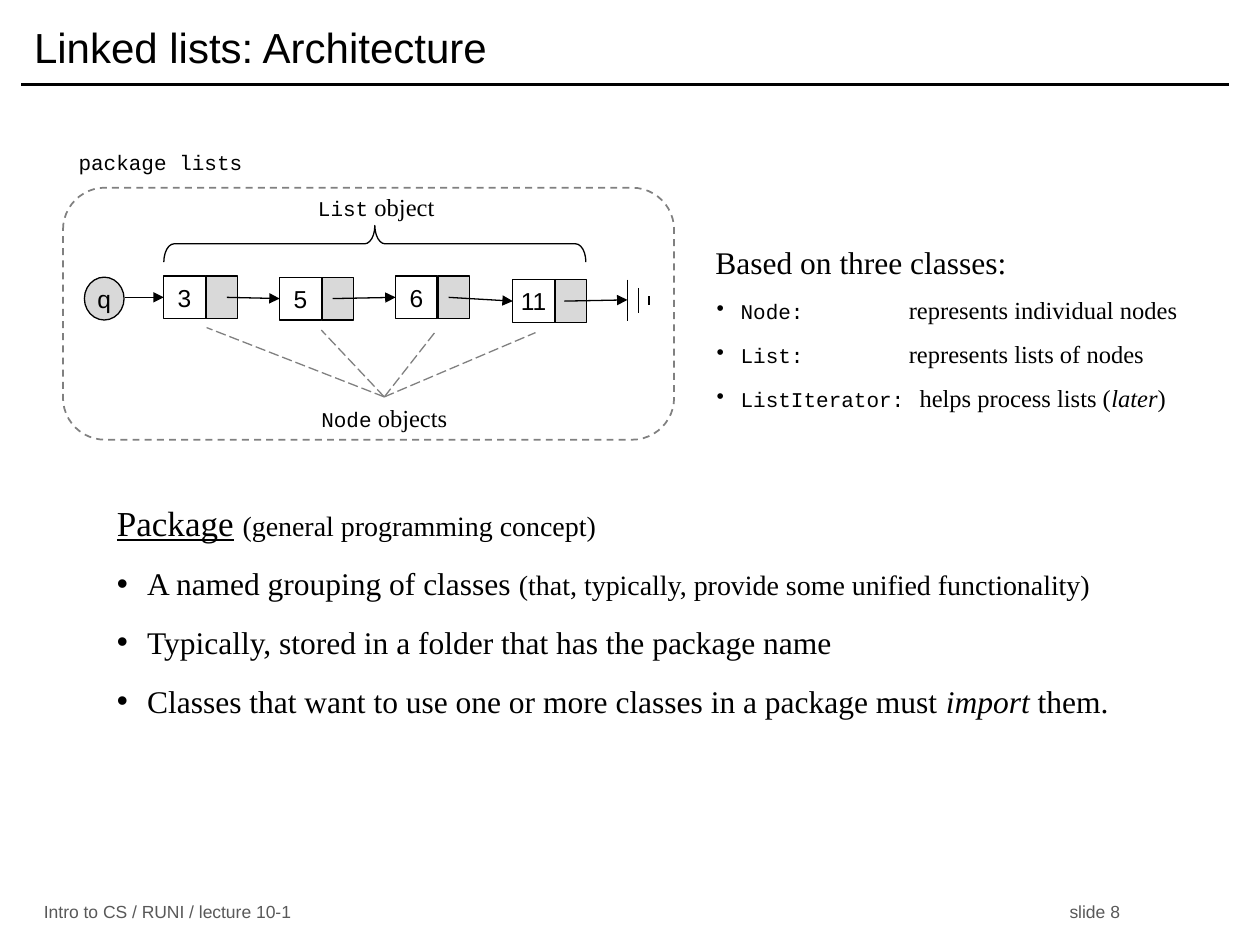
from pptx import Presentation
from pptx import util as u
from pptx.dml.color import RGBColor
from pptx.enum import dml, shapes, text
from pptx.oxml import ns
from lxml import etree

BLACK = RGBColor(0, 0, 0)
WHITE = RGBColor(0xFF, 0xFF, 0xFF)
LIGHT = RGBColor(0xD9, 0xD9, 0xD9)
GRAY = RGBColor(0x80, 0x80, 0x80)
DARK = RGBColor(0x59, 0x59, 0x59)
SANS, SERIF, MONO = "Arial", "Times New Roman", "Courier New"
COLUMNS, ROWS = 100, 75
CELL = u.Inches(0.1)


def cells(*counts):
    """Turn numbers of grid cells into lengths."""
    return [u.Emu(round(count * CELL)) for count in counts]


def add_child(parent, tag, **attributes):
    """Append a DrawingML element and return it."""
    child = etree.SubElement(parent, ns.qn(tag))
    for name, value in attributes.items():
        child.set(name, str(value))
    return child


def write(shape, *paragraphs, align=text.PP_ALIGN.LEFT, anchor=text.MSO_ANCHOR.MIDDLE,
          color=BLACK, inset=1, wrap=True):
    """Fill a shape with paragraphs, each a list of (text, font, size, style) runs."""
    frame = shape.text_frame
    frame.word_wrap = wrap
    frame.vertical_anchor = anchor
    frame.margin_left, frame.margin_right, frame.margin_top, frame.margin_bottom = cells(
        inset, inset, inset / 2, inset / 2)
    for index, runs in enumerate(paragraphs):
        para = frame.paragraphs[0] if index == 0 else frame.add_paragraph()
        para.alignment = align
        for words, font, size, *style in runs:
            span = para.add_run()
            span.text = words
            span.font.name = font
            span.font.size = u.Pt(size)
            span.font.color.rgb = color
            span.font.italic = "italic" in style
            span.font.underline = "underline" in style
    return frame


def bullet(para, hang, before, indent=None, stop=None):
    """Give a paragraph a hanging bullet, space before and an optional tab stop."""
    margin, first = cells(hang, -(indent or hang))
    props = para._p.get_or_add_pPr()
    props.set("marL", str(margin))
    props.set("indent", str(first))
    add_child(props, "a:buFont", typeface=SANS)
    add_child(props, "a:buChar", char="•")
    if stop:
        add_child(add_child(props, "a:tabLst"), "a:tab", pos=cells(stop)[0], algn="l")
    para.space_before = u.Pt(before)


def add_label(page, left, top, width, height, *paragraphs, **style):
    """Place a text box."""
    box = page.shapes.add_textbox(*cells(left, top, width, height))
    write(box, *paragraphs, **style)
    return box


def add_outline(page, kind, left, top, width, height, fill=None, line=BLACK, weight=0.75):
    """Place a preset shape with a plain outline."""
    shape = page.shapes.add_shape(kind, *cells(left, top, width, height))
    shape.shadow.inherit = False
    if fill is None:
        shape.fill.background()
    else:
        shape.fill.solid()
        shape.fill.fore_color.rgb = fill
    shape.line.color.rgb = line
    shape.line.width = u.Pt(weight)
    return shape


def add_line(page, start, end, color=BLACK, weight=0.75, dash=None, arrow=False):
    """Draw a straight connector between two points."""
    line = page.shapes.add_connector(shapes.MSO_CONNECTOR.STRAIGHT, *cells(*start, *end))
    line.line.color.rgb = color
    line.line.width = u.Pt(weight)
    if dash:
        line.line.dash_style = dash
    props = line._element.spPr
    if arrow:
        add_child(props.find(ns.qn("a:ln")), "a:tailEnd", type="triangle")
    add_child(props, "a:effectLst")
    return line


def add_header(page, left, top, width, height):
    """Format the title and draw the rule below it."""
    title = page.shapes.title
    title.left, title.top, title.width, title.height = cells(left, top, width, height)
    write(title, [("Linked lists: Architecture", SANS, 24)])
    rule = top + height + 0.1
    add_line(page, (left, rule), (left + width, rule), weight=2)


def add_footer(page, left, top, width, height):
    """Write the course name and the slide number."""
    for offset, words in ((0, "Intro to CS / RUNI / lecture 10-1"), (81.4, "slide 8")):
        add_label(page, left + offset, top, width - offset, height,
                  [(words, SANS, 10)], color=DARK, wrap=False)


def add_node(page, left, top, value):
    """Draw a value cell with its pointer cell and return the value cell."""
    rect = shapes.MSO_SHAPE.RECTANGLE
    cell = add_outline(page, rect, left, top, 3.3, 3.4, WHITE)
    write(cell, [(value, SANS, 14)], align=text.PP_ALIGN.CENTER, inset=0)
    add_outline(page, rect, left + 3.35, top, 2.5, 3.4, LIGHT)
    return cell


def add_chain(page, left, top):
    """Draw the head, four linked nodes and the closing ground mark."""
    head = add_outline(page, shapes.MSO_SHAPE.OVAL, left, top + 0.1, 3.15, 3.4, LIGHT)
    write(head, [("q", SANS, 14)], align=text.PP_ALIGN.CENTER, inset=0)
    start = (left + 3.2, top + 1.7)
    nodes = (("3", 6.3, 0, 5), ("5", 15.5, 0.1, 4.2), ("6", 24.7, 0, 4.2), ("11", 34, 0.3, 4.1))
    for value, offset, drop, pointer in nodes:
        cell = add_node(page, left + offset, top + drop, value)
        add_line(page, start, start, arrow=True).end_connect(cell, 1)
        x, y = left + offset, top + drop + 1.7
        start = (x + pointer, y)
        yield_end = (left + 43.1, top + 1.9)
    add_line(page, start, yield_end, arrow=True)
    for step, half in enumerate((1.65, 1, 0.35)):
        x = left + 43.1 + step * 0.85
        add_line(page, (x, top + 1.95 - half), (x, top + 1.95 + half))


def add_diagram(page, left, top, width, height):
    """Draw the package frame with the list, its brace and its node labels."""
    frame = add_outline(page, shapes.MSO_SHAPE.ROUNDED_RECTANGLE,
                        left, top, width, height, WHITE, GRAY, 1)
    frame.line.dash_style = dml.MSO_LINE.DASH
    add_label(page, left + 0.25, top - 4.9, 28, 5.8, [("package lists", MONO, 12)])
    add_label(page, left + 19.25, top - 1.4, 28, 5.8,
              [("List", MONO, 12), (" object", SERIF, 14)])
    brace = add_outline(page, shapes.MSO_SHAPE.RIGHT_BRACE, left + 23.3, top - 12.3, 2.9, 33.5)
    brace.rotation = 270
    brace.adjustments[0] = 0.28
    add_chain(page, left + 1.7, top + 7)
    label = add_label(page, left + 13.4, top + 16.6, 24.2, 3.3,
                      [("Node", MONO, 12), (" objects", SERIF, 14)],
                      align=text.PP_ALIGN.CENTER)
    for x, y in ((11.4, 11.1), (20.5, 11.3), (29.5, 11.5), (37.5, 11.5)):
        end = (left + x, top + y)
        line = add_line(page, end, end, GRAY, dash=dml.MSO_LINE.LONG_DASH)
        line.begin_connect(label, 0)


def add_classes(page, left, top, width, height):
    """List the three classes with their roles."""
    entries = (
        ("Node:", 15.35, [("represents individual nodes", SERIF, 14)]),
        ("List:", 15.35, [("represents lists of nodes", SERIF, 14)]),
        ("ListIterator:", 16.2, [("helps process lists (", SERIF, 14),
                                 ("later", SERIF, 14, "italic"), (")", SERIF, 14)]),
    )
    rows = [[(name, MONO, 12), ("\t", SERIF, 16), *role] for name, _, role in entries]
    box = add_label(page, left, top, width, height, [("Based on three classes:", SERIF, 18)],
                    *rows, anchor=text.MSO_ANCHOR.TOP)
    for para, (_, stop, _) in zip(box.text_frame.paragraphs[1:], entries):
        bullet(para, 2, 6, indent=1.9, stop=stop)


def add_concept(page, left, top, width, height):
    """Explain what a package is."""
    box = add_label(
        page, left, top, width, height,
        [("Package", SERIF, 20, "underline"), (" ", SERIF, 20),
         ("(general programming concept)", SERIF, 16)],
        [("A named grouping of classes ", SERIF, 18),
         ("(that, typically, provide some unified functionality)", SERIF, 16)],
        [("Typically, stored in a folder that has the package name", SERIF, 18)],
        [("Classes that want to use one or more classes in a package must ", SERIF, 18),
         ("import", SERIF, 18, "italic"), (" them.", SERIF, 18)],
        anchor=text.MSO_ANCHOR.TOP)
    for para in box.text_frame.paragraphs[1:]:
        bullet(para, 2.4, 12)


def main():
    """Build the slide and save it."""
    deck = Presentation()
    deck.slide_width, deck.slide_height = cells(COLUMNS, ROWS)
    page = deck.slides.add_slide(deck.slide_layouts[5])
    add_header(page, 1.7, 0.8, 95.8, 5.8)
    add_diagram(page, 5, 14.9, 48.5, 20)
    add_classes(page, 55.8, 18.8, 43.3, 17.5)
    add_concept(page, 8.3, 39.3, 87.7, 15.3)
    add_footer(page, 2.5, 71.4, 94.2, 1.9)
    deck.save("out.pptx")


if __name__ == "__main__":
    main()
